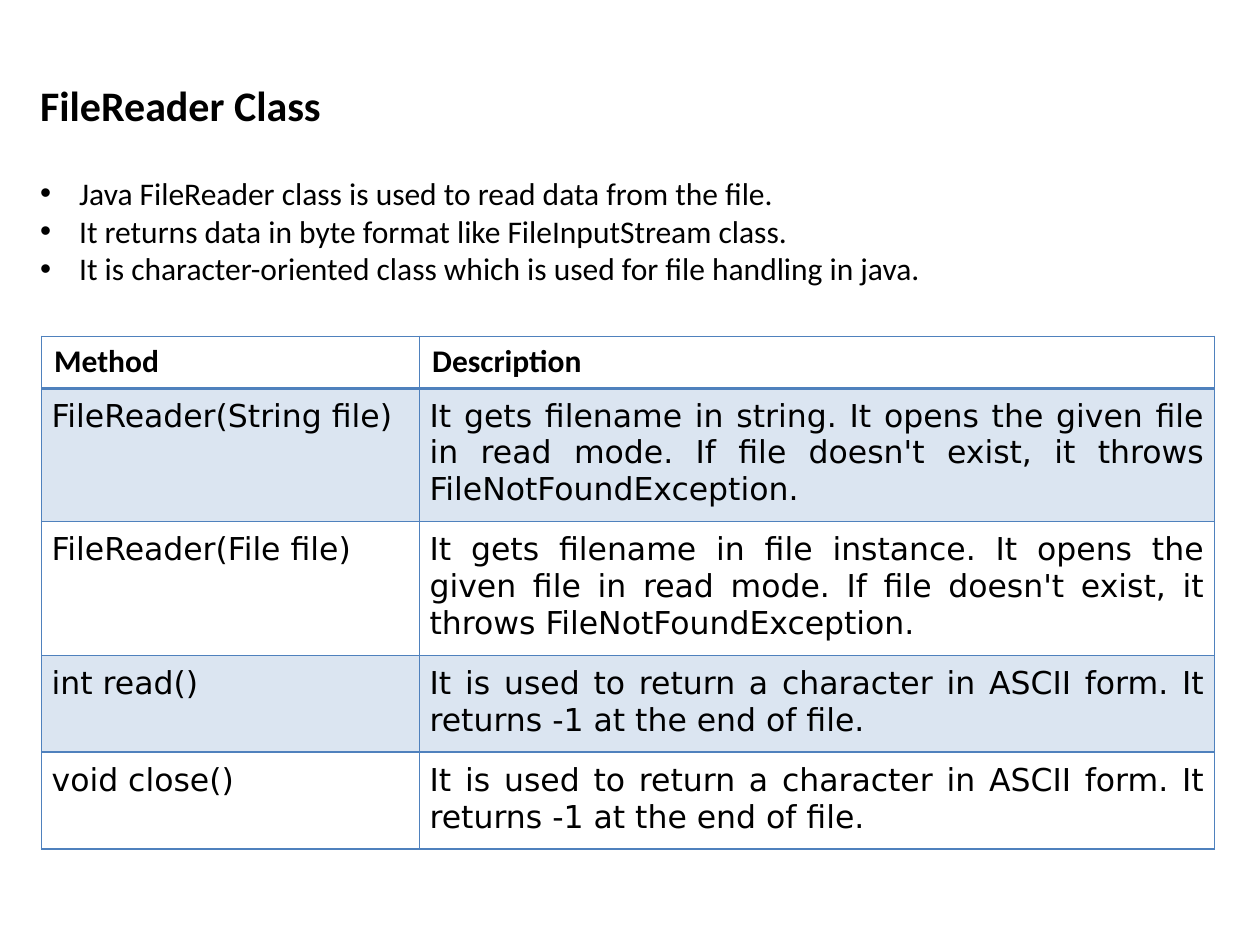
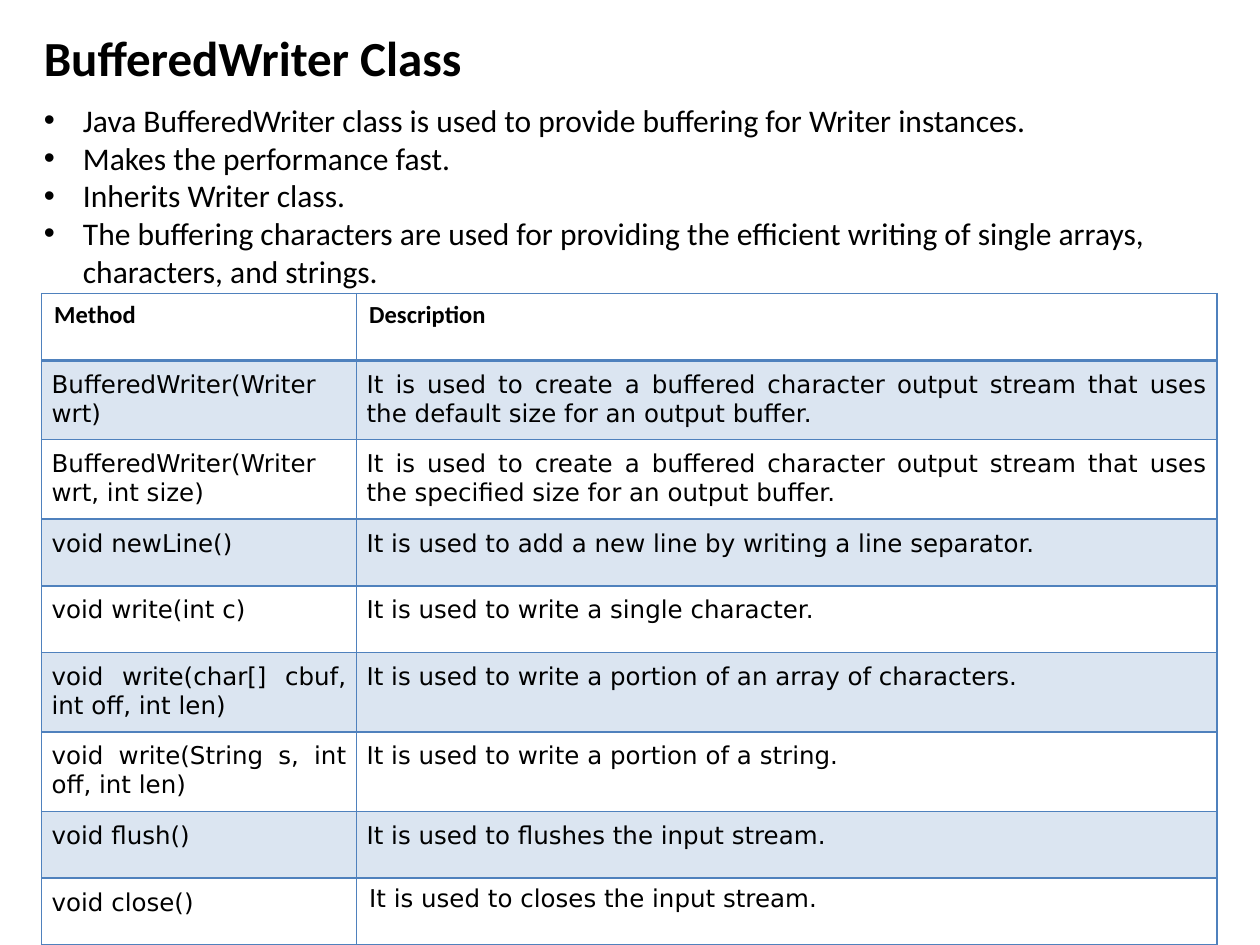
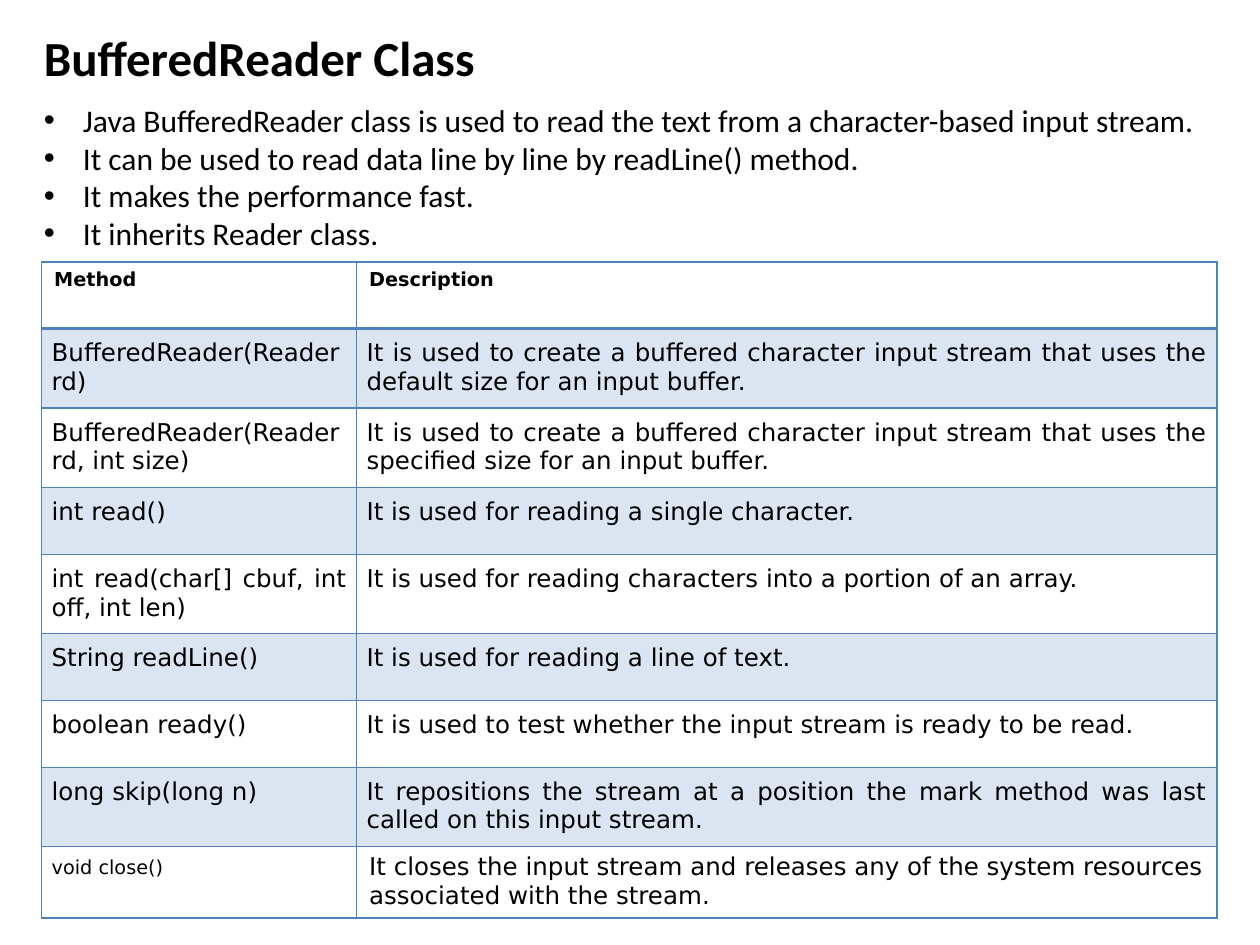
from lxml.etree import SubElement as sub_el, Element
from pptx import Presentation
from pptx.dml.color import RGBColor
from pptx.enum.text import MSO_AUTO_SIZE as Fit, PP_ALIGN as Align
from pptx.oxml.ns import qn
from pptx.util import Inches, Pt

# Shared look
BLACK, BLUE = "000000", "4F81BD"
SANS, MONO = "Calibri", "DejaVu Sans"
TINT = 20  # band opacity in percent
INDENT, PAD = 0.31, 0.08
LEFT, TOP = 0.33, 0.53  # table left edge, height of a one-line row
TALL = 0.63  # height of a two-line row


def color(code):
    return RGBColor.from_string(code)


# Text
def write(frame, text, size=18, font=SANS, bold=False, align=None, bullet=False):
    """Fill a frame with one paragraph for each line of text."""
    for i, line in enumerate(text.split("\n")):
        para = frame.paragraphs[0] if i == 0 else frame.add_paragraph()
        para.alignment = align
        run = para.add_run()
        run.text = line
        run.font.size = Pt(size)
        run.font.name = font
        run.font.bold = bold
        run.font.color.rgb = color(BLACK)
        if bullet:
            props = para._p.get_or_add_pPr()
            props.set("marL", str(Inches(INDENT)))
            props.set("indent", str(-Inches(INDENT)))
            sub_el(props, qn("a:buFont"), typeface="Arial")
            sub_el(props, qn("a:buChar"), char="•")


def add_text(slide, box, text, wrap=True, **fmt):
    frame = slide.shapes.add_textbox(*map(Inches, box)).text_frame
    frame.word_wrap = wrap
    frame.auto_size = Fit.SHAPE_TO_FIT_TEXT
    write(frame, text, **fmt)


# Table
def add_edges(cell, low):
    """Draw the four borders; low is the width of the bottom one."""
    props = cell._tc.get_or_add_tcPr()
    for i, (side, width) in enumerate(zip("LRTB", (1, 1, 1, low))):
        line = Element(qn(f"a:ln{side}"), w=str(Pt(width)))
        sub_el(sub_el(line, qn("a:solidFill")), qn("a:srgbClr"), val=BLUE)
        props.insert(i, line)


def tint(cell):
    cell.fill.solid()
    cell.fill.fore_color.rgb = color(BLUE)
    shade = cell._tc.tcPr.find(qn("a:solidFill")).find(qn("a:srgbClr"))
    sub_el(shade, qn("a:alpha"), val=str(TINT * 1000))


def add_grid(slide, top, cols, highs, rows, size, head, special=None):
    """Add a method table; special maps (row, column) to its own format."""
    special = special or {}
    shape = slide.shapes.add_table(
        len(highs), len(cols), Inches(LEFT), Inches(top),
        Inches(sum(cols)), Inches(sum(highs)))
    grid = shape.table
    grid.first_row = grid.horz_banding = False
    for col, width in zip(grid.columns, cols):
        col.width = Inches(width)
    for row, high in zip(grid.rows, highs):
        row.height = Inches(high)
    for r, line in enumerate([("Method", "Description"), *rows]):
        for c, text in enumerate(line):
            cell = grid.cell(r, c)
            add_edges(cell, 2 if r == 0 else 1)
            if r % 2:
                tint(cell)
            else:
                cell.fill.background()
            if r == 0:
                fmt = {"bold": True, **head}
            else:
                fmt = {"size": size, "font": MONO, "align": Align.JUSTIFY,
                       **special.get((r, c), {})}
            if fmt.get("align"):
                cell.margin_left = cell.margin_right = Inches(PAD)
                cell.margin_top = cell.margin_bottom = Inches(PAD)
            write(cell.text_frame, text, **fmt)


# Content
READER = [
    ("FileReader(String file)",
     "It gets filename in string. It opens the given file in read mode. "
     "If file doesn't exist, it throws FileNotFoundException."),
    ("FileReader(File file)",
     "It gets filename in file instance. It opens the given file in read mode. "
     "If file doesn't exist, it throws FileNotFoundException."),
    *[(name, "It is used to return a character in ASCII form. "
       "It returns -1 at the end of file.")
      for name in ("int read()", "void close()")],
]

BUF_OUT = [
    ("BufferedWriter(Writer wrt)",
     "It is used to create a buffered character output stream that uses "
     "the default size for an output buffer."),
    ("BufferedWriter(Writer wrt, int size)",
     "It is used to create a buffered character output stream that uses "
     "the specified size for an output buffer."),
    ("void newLine()", "It is used to add a new line by writing a line separator."),
    ("void write(int c)", "It is used to write a single character."),
    ("void write(char[] cbuf, int off, int len)",
     "It is used to write a portion of an array of characters."),
    ("void write(String s, int off, int len)",
     "It is used to write a portion of a string."),
    ("void flush()", "It is used to flushes the input stream."),
    ("void close()", "It is used to closes the input stream."),
]

BUF_IN = [
    ("BufferedReader(Reader rd)",
     "It is used to create a buffered character input stream that uses "
     "the default size for an input buffer."),
    ("BufferedReader(Reader rd, int size)",
     "It is used to create a buffered character input stream that uses "
     "the specified size for an input buffer."),
    ("int read()", "It is used for reading a single character."),
    ("int read(char[] cbuf, int off, int len)",
     "It is used for reading characters into a portion of an array."),
    ("String readLine()", "It is used for reading a line of text."),
    ("boolean ready()",
     "It is used to test whether the input stream is ready to be read."),
    ("long skip(long n)",
     "It repositions the stream at a position the mark method was last "
     "called on this input stream."),
    ("void close()",
     "It closes the input stream and releases any of the system resources "
     "associated with the stream."),
]


# Slides
def add_page(deck, title, spot, size, points, box, wrap=True):
    slide = deck.slides.add_slide(deck.slide_layouts[6])
    add_text(slide, spot, title, wrap=False, size=size, bold=True)
    add_text(slide, box, points, wrap=wrap, bullet=True)
    return slide


def main():
    deck = Presentation()
    deck.slide_width, deck.slide_height = Inches(10), Inches(7.5)
    plain = {"align": None}

    # FileReader
    slide = add_page(
        deck, "FileReader Class", (0.22, 0.58, 2.45, 0.5), 24,
        "Java FileReader class is used to read data from the file.\n"
        "It returns data in byte format like FileInputStream class.\n"
        "It is character-oriented class which is used for file handling in java.",
        (0.22, 1.33, 7.28, 1.01), wrap=False)
    add_grid(slide, 2.67, (3, 6.31), (0.41, 1.06, 1.06, 0.77, 0.77),
             READER, 18, {"size": 18})

    # BufferedWriter
    cols = (2.5, 6.83)
    slide = add_page(
        deck, "BufferedWriter Class", (0.25, 0.17, 3.57, 0.57), 28,
        "Java BufferedWriter class is used to provide buffering for Writer instances.\n"
        "Makes the performance fast.\n"
        "Inherits Writer class.\n"
        "The buffering characters are used for providing the efficient writing "
        "of single arrays, characters, and strings.",
        (0.25, 0.75, 9.58, 1.62))
    add_grid(slide, 2.33, cols,
             (TOP, TALL, TALL, TOP, TOP, TALL, TALL, TOP, TOP),
             BUF_OUT, 14, {"size": 14}, {(8, 1): plain})

    # BufferedReader
    slide = add_page(
        deck, "BufferedReader Class", (0.25, 0.17, 3.68, 0.57), 28,
        "Java BufferedReader class is used to read the text from a "
        "character-based input stream.\n"
        "It can be used to read data line by line by readLine() method.\n"
        "It makes the performance fast.\n"
        "It inherits Reader class.",
        (0.25, 0.75, 9.58, 1.31))
    add_grid(slide, 2.08, cols,
             (TOP, TALL, TALL, TOP, TALL, TOP, TOP, TALL, 0.56),
             BUF_IN, 14, {"size": 11, "font": MONO},
             {(8, 0): {"size": 11}, (8, 1): plain})

    deck.save("out.pptx")


if __name__ == "__main__":
    main()
